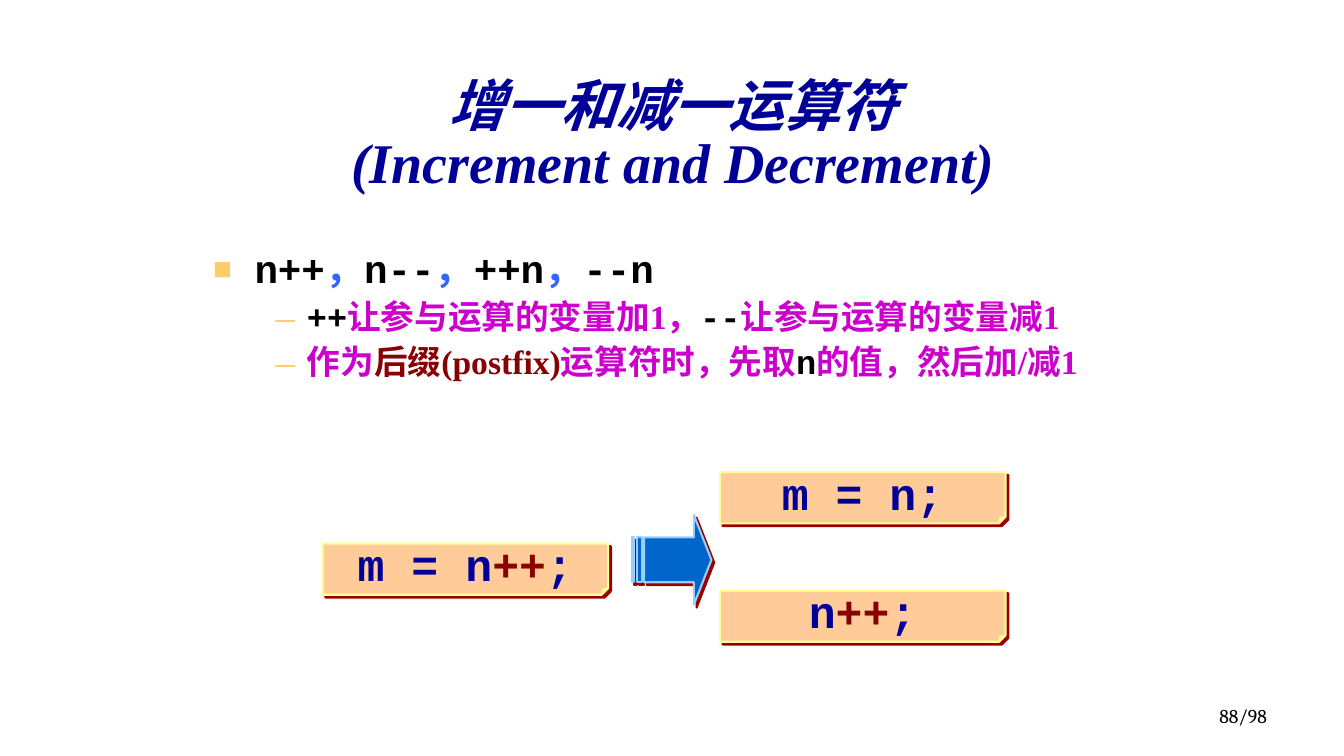
import copy

import pptx
import pptx.dml.color
import pptx.enum.shapes
import pptx.enum.text
import pptx.oxml
import pptx.oxml.ns
import pptx.util

COLORS = {
    "navy": "000099", "black": "000000", "blue": "3366FF", "magenta": "CC00CC",
    "maroon": "880000", "bullet": "FFCC66", "card": "FFCC99", "card_edge": "FFFF99",
    "arrow": "0066CC", "arrow_edge": "99CCFF", "shadow": "990000",
}
SERIF, MONO = "Times New Roman", "Courier New"
WIDTH, HEIGHT = pptx.util.Inches(13.33), pptx.util.Inches(7.5)
COLUMN, ROW = WIDTH / 160, HEIGHT / 90
ALIGN = pptx.enum.text.PP_ALIGN
SHAPE = pptx.enum.shapes.MSO_SHAPE


def color(name):
    """Return the named colour."""
    return pptx.dml.color.RGBColor.from_string(COLORS[name])


def place(box):
    """Turn columns and rows of the grid into slide lengths."""
    return [round(value * unit) for value, unit in zip(box, (COLUMN, ROW) * 2)]


def element(content):
    """Parse one drawing element."""
    return pptx.oxml.parse_xml(content.replace(" ", f" {pptx.oxml.ns.nsdecls('a')} ", 1))


def shadow(name):
    """Return a hard shadow towards the lower right."""
    return element(
        '<a:effectLst ><a:outerShdw blurRad="0" dist="35560" dir="2700000" algn="ctr" '
        f'rotWithShape="0"><a:srgbClr val="{COLORS[name]}"/></a:outerShdw></a:effectLst>')


def write(paragraph, text, size, font=SERIF, fill="black", bold=True, italic=False):
    """Add a formatted run to a paragraph and return it."""
    run = paragraph.add_run()
    run.text = text
    run.font.name, run.font.size = font, pptx.util.Pt(size)
    run.font.bold, run.font.italic = bold, italic
    run.font.color.rgb = color(fill)
    return run


def add_text_frame(shapes, box, inset=(0.1, 0.05)):
    """Add a wrapping text box and return its text frame."""
    frame = shapes.add_textbox(*place(box)).text_frame
    frame.word_wrap = True
    frame.margin_left = frame.margin_right = pptx.util.Inches(inset[0])
    frame.margin_top = frame.margin_bottom = pptx.util.Inches(inset[1])
    return frame


def set_bullet(paragraph, character, percent, left, hanging):
    """Give a paragraph a coloured bullet and a hanging indent."""
    properties = paragraph._p.get_or_add_pPr()
    properties.set("marL", str(pptx.util.Inches(left)))
    properties.set("indent", str(-pptx.util.Inches(hanging)))
    for content in (
            f'<a:buClr ><a:srgbClr val="{COLORS["bullet"]}"/></a:buClr>',
            f'<a:buSzPct val="{percent * 1000}"/>',
            f'<a:buFont typeface="{SERIF}"/>',
            f'<a:buChar char="{character}"/>'):
        properties.append(element(content))


def fill_title(title, box, lines):
    """Place the title and write its shadowed lines."""
    title.left, title.top, title.width, title.height = place(box)
    frame = title.text_frame
    frame.word_wrap = True
    frame.auto_size = pptx.enum.text.MSO_AUTO_SIZE.NONE
    frame.vertical_anchor = pptx.enum.text.MSO_ANCHOR.MIDDLE
    frame.margin_top, frame.margin_bottom = pptx.util.Inches(0.05), pptx.util.Inches(0.75)
    paragraph = frame.paragraphs[0]
    paragraph.alignment, paragraph.line_spacing = ALIGN.CENTER, 0.85
    for index, line in enumerate(lines):
        if index:
            paragraph.add_line_break()
        run = write(paragraph, line, 40, fill="navy", italic=True)
        properties = run._r.rPr
        properties.find(pptx.oxml.ns.qn("a:solidFill")).addnext(shadow("black"))
    for line_break in paragraph._p.findall(pptx.oxml.ns.qn("a:br")):
        line_break.append(copy.deepcopy(properties))


def add_body(slide, box, items):
    """Write the bulleted list, one item per paragraph."""
    frame = add_text_frame(slide.shapes, box)
    for index, (level, runs) in enumerate(items):
        paragraph = frame.add_paragraph() if index else frame.paragraphs[0]
        size = (28, 24)[level]
        paragraph.level, paragraph.line_spacing = level, 0.95
        if index:
            paragraph.space_before = pptx.util.Pt(size * 0.2)
        set_bullet(paragraph, *(("■", 80, 0.41, 0.41), ("–", 115, 0.93, 0.31))[level])
        for text, fill in runs:
            write(paragraph, text, size, MONO if fill == "black" else SERIF, fill)


def add_block(shapes, kind, box, fill, edge, **guides):
    """Add a filled, outlined preset shape with a shadow and adjusted guides."""
    shape = shapes.add_shape(kind, *place(box))
    shape.fill.solid()
    shape.fill.fore_color.rgb = color(fill)
    shape.line.color.rgb, shape.line.width = color(edge), pptx.util.Pt(1.5)
    properties = shape._element.spPr
    properties.append(shadow("shadow"))
    geometry = properties.find(pptx.oxml.ns.qn("a:prstGeom"))
    for child in list(geometry):
        geometry.remove(child)
    values = "".join(f'<a:gd name="{name}" fmla="val {value}"/>'
                     for name, value in guides.items())
    geometry.append(element(f"<a:avLst >{values}</a:avLst>"))


def add_code_card(slide, box, runs):
    """Group a folded card with its centred code."""
    left, top, width, height = box
    group = slide.shapes.add_group_shape()
    add_block(group.shapes, SHAPE.FOLDED_CORNER, box, "card", "card_edge", adj=12500)
    frame = add_text_frame(group.shapes, (left, top - 0.8, width, height + 0.4), (0, 0))
    paragraph = frame.paragraphs[0]
    paragraph.alignment = ALIGN.CENTER
    for text, fill in runs:
        write(paragraph, text, 32, MONO, fill)


def add_expansion(slide, box):
    """Show the postfix statement and the two steps it stands for."""
    left, top, width, height = box
    card_width, card_height = 34, 6.1
    right = left + width - card_width
    increment = [("++", "maroon"), (";", "navy")]
    cards = (
        (left, top + 8.5, [("m = n", "navy")] + increment),
        (right, top, [("m = n;", "navy")]),
        (right, top + height - card_height, [("n", "navy")] + increment))
    for card_left, card_top, runs in cards:
        add_code_card(slide, (card_left, card_top, card_width, card_height), runs)
    add_block(slide.shapes, SHAPE.STRIPED_RIGHT_ARROW, (left + 36.8, top + 5.1, 9.5, 10.7),
              "arrow", "arrow_edge", adj1=50000, adj2=22000)


def add_page_number(slide, box, text):
    """Write the page count at the lower right."""
    paragraph = add_text_frame(slide.shapes, box).paragraphs[0]
    paragraph.alignment = ALIGN.RIGHT
    write(paragraph, text, 14, "Cambria", bold=False)


def main():
    """Build and save the slide."""
    presentation = pptx.Presentation()
    presentation.slide_width, presentation.slide_height = WIDTH, HEIGHT
    slide = presentation.slides.add_slide(presentation.slide_layouts[5])
    add_page_number(slide, (114.7, 83.2, 37.3, 6.2), "88/98")
    fill_title(slide.shapes.title, (28.9, 15.1, 102.4, 11),
               ("增一和减一运算符", "(Increment and Decrement)"))
    add_body(slide, (24.2, 28.9, 113.4, 29.3), (
        (0, (("n++", "black"), ("，", "blue"), ("n--", "black"), ("，", "blue"),
             ("++n", "black"), ("，", "blue"), ("--n", "black"))),
        (1, (("++", "black"), ("让参与运算的变量加1，", "magenta"),
             ("--", "black"), ("让参与运算的变量减1", "magenta"))),
        (1, (("作为", "magenta"), ("后缀(postfix)", "maroon"),
             ("运算符时，先取", "magenta"), ("n", "black"),
             ("的值，然后加/减1", "magenta")))))
    add_expansion(slide, (38.4, 56.2, 81.3, 20.2))
    presentation.save("out.pptx")


if __name__ == "__main__":
    main()
